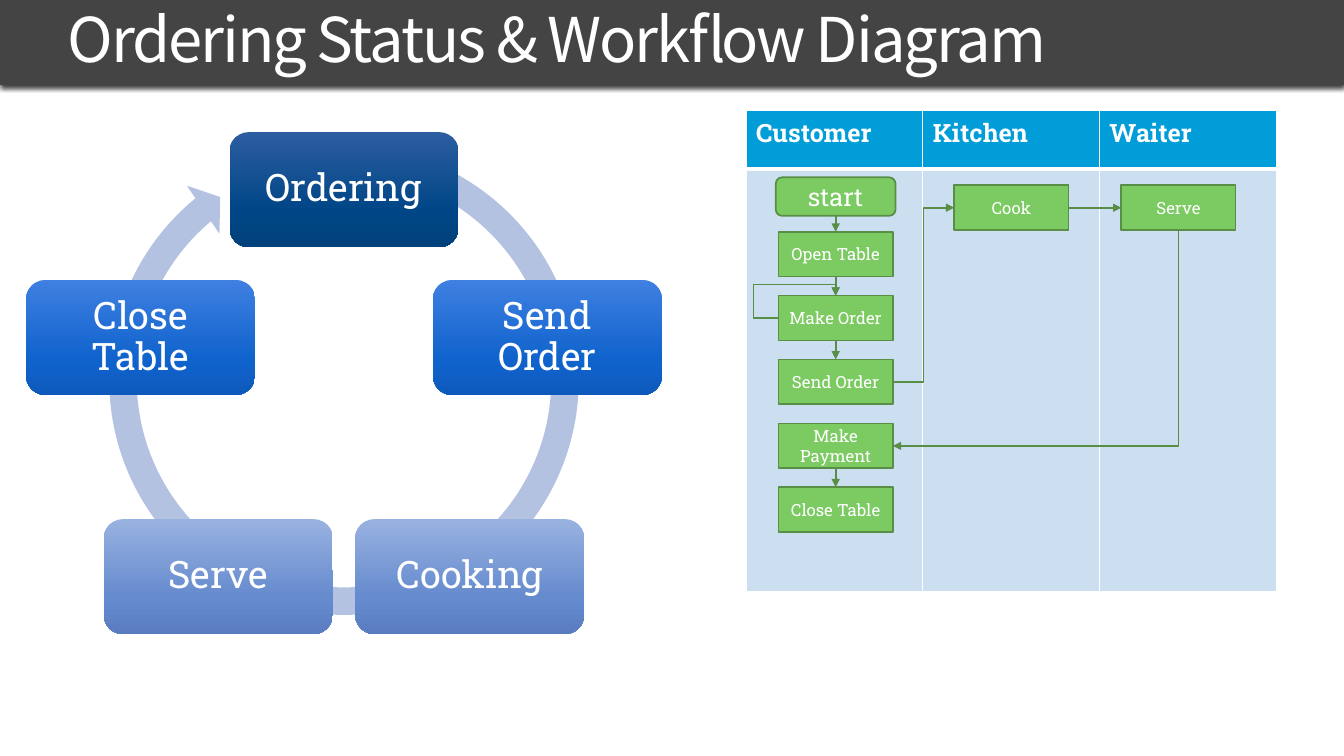
import math
import lxml.etree
import pptx
import pptx.dml.color
import pptx.enum.shapes
import pptx.enum.text
import pptx.oxml.ns
import pptx.util

Cm = pptx.util.Cm
Pt = pptx.util.Pt
qn = pptx.oxml.ns.qn
SHAPE = pptx.enum.shapes.MSO_SHAPE
LINK = pptx.enum.shapes.MSO_CONNECTOR
ALIGN = pptx.enum.text.PP_ALIGN
MIDDLE = pptx.enum.text.MSO_ANCHOR.MIDDLE
TOP_SIDE, LEFT_SIDE, BOTTOM_SIDE, RIGHT_SIDE = range(4)
BODY_FONT = "Roboto Slab"
TITLE_FONT = "Noto Sans CJK JP"
WHITE = "FFFFFF"
GREEN = "7CCA62"
DARK_GREEN = "588E46"


def colour(value):
    return pptx.dml.color.RGBColor.from_string(value)


def add_child(parent, tag, **attributes):
    child = lxml.etree.SubElement(parent, qn(tag))
    for name, value in attributes.items():
        child.set(name, str(value))
    return child


def add_text(para, text, size, font=BODY_FONT, bold=False):
    span = para.add_run()
    span.text = text
    span.font.name = font
    span.font.size = Pt(size)
    span.font.bold = bold
    span.font.color.rgb = colour(WHITE)
    return span


def add_box(page, kind, box, fill, line=None):
    shape = page.shapes.add_shape(kind, *[Cm(length) for length in box])
    shape.shadow.inherit = False
    shape.fill.solid()
    shape.fill.fore_color.rgb = colour(fill)
    if line:
        shape.line.color.rgb = colour(line)
        shape.line.width = Pt(1.25)
    else:
        shape.line.fill.background()
    return shape


def label(shape, text, size, inset, spacing=1.0):
    frame = shape.text_frame
    frame.word_wrap = True
    frame.vertical_anchor = MIDDLE
    frame.margin_left = frame.margin_right = Cm(inset)
    frame.margin_top = frame.margin_bottom = Cm(inset)
    para = frame.paragraphs[0]
    para.alignment = ALIGN.CENTER
    para.line_spacing = spacing
    add_text(para, text, size)


def set_gradient(shape, stops):
    shape.fill.gradient()
    shape.fill.gradient_angle = 270
    stop_list = shape._element.spPr.find(".//" + qn("a:gsLst"))
    for old_stop in list(stop_list):
        stop_list.remove(old_stop)
    for position, value in zip((0, 69000, 100000), stops):
        add_child(add_child(stop_list, "a:gs", pos=position), "a:srgbClr", val=value)


def build_header(page, box):
    left, top, width, height = box
    band = add_box(page, SHAPE.RECTANGLE, box, "444444")
    effects = band._element.spPr.find(qn("a:effectLst"))
    shadow = add_child(effects, "a:outerShdw", blurRad=Pt(3), dist=Pt(2), dir=5400000, rotWithShape=0)
    add_child(add_child(shadow, "a:srgbClr", val="000000"), "a:alpha", val=75000)
    page.shapes._spTree.insert(2, band._element)
    title = page.shapes.title
    title.left, title.top = Cm(left + 1.7), Cm(top + 0.4)
    title.width, title.height = Cm(width - 3.4), Cm(1.4)
    frame = title.text_frame
    frame.auto_size = pptx.enum.text.MSO_AUTO_SIZE.NONE
    frame.word_wrap = True
    frame.vertical_anchor = MIDDLE
    frame.margin_left = frame.margin_right = frame.margin_top = frame.margin_bottom = 0
    para = frame.paragraphs[0]
    para.alignment = ALIGN.LEFT
    para.line_spacing = 0.85
    span = add_text(para, "Ordering Status & Workflow Diagram", 44, TITLE_FONT)
    span.font._element.set("spc", "-150")


def build_cycle(page, box):
    left, top, width, height = box
    ring = add_box(page, SHAPE.CIRCULAR_ARROW, (left + 1.7, top - 0.05, 12.6, 12.6), "B4C2E2")
    for index, value in enumerate((0.055, 3.307, 138.257, 173.557, 0.058)):
        ring.adjustments[index] = value
    dark = ("2C5DA1", "004686", "00417B")
    medium = ("3F80E1", "1063CD", "0E5ABC")
    pale = ("99B2E1", "658ACD", "597DC0")
    stages = [("Ordering", dark), ("Send Order", medium), ("Cooking", pale),
              ("Serve", pale), ("Close Table", medium)]
    stage_width, stage_height, radius = 5.77, 2.9, 5.39
    for index, (text, stops) in enumerate(stages):
        angle = 2 * math.pi * index / len(stages)
        stage_left = left + (width - stage_width) / 2 + radius * math.sin(angle)
        stage_top = top + radius * (1 - math.cos(angle))
        stage = add_box(page, SHAPE.ROUNDED_RECTANGLE,
                        (stage_left, stage_top, stage_width, stage_height), WHITE)
        set_gradient(stage, stops)
        label(stage, text, 27, 0.28, 0.9)


def build_lanes(page, box):
    left, top, width, height = [Cm(length) for length in box]
    lanes = ("Customer", "Kitchen", "Waiter")
    table = page.shapes.add_table(2, len(lanes), left, top, width, height).table
    table.horz_banding = False
    table.rows[0].height = Cm(1.46)
    table.rows[1].height = height - Cm(1.46)
    for column, lane in enumerate(lanes):
        add_text(table.cell(0, column).text_frame.paragraphs[0], lane, 18, bold=True)
        for row, fill in enumerate(("009DD9", "CCDFF1")):
            cell = table.cell(row, column)
            properties = cell._tc.get_or_add_tcPr()
            top_width, bottom_width = ((1, 3), (3, 1))[row]
            borders = {"a:lnL": 1, "a:lnR": 1, "a:lnT": top_width, "a:lnB": bottom_width}
            for tag, thickness in borders.items():
                border = add_child(properties, tag, w=Pt(thickness))
                add_child(add_child(border, "a:solidFill"), "a:srgbClr", val=WHITE)
            cell.fill.solid()
            cell.fill.fore_color.rgb = colour(fill)


def link(page, source, source_side, target, target_side, preset="line", bends=(), quarter_turn=False):
    kind = LINK.STRAIGHT if preset == "line" else LINK.ELBOW
    arrow = page.shapes.add_connector(kind, 0, 0, 0, 0)
    arrow.begin_connect(source, source_side)
    arrow.end_connect(target, target_side)
    arrow.line.color.rgb = colour(DARK_GREEN)
    arrow.line.width = Pt(1.25)
    add_child(arrow.line._get_or_add_ln(), "a:tailEnd", type="triangle")
    properties = arrow._element.spPr
    add_child(properties, "a:effectLst")
    geometry = properties.find(qn("a:prstGeom"))
    geometry.set("prst", preset)
    guides = geometry.find(qn("a:avLst"))
    for number, bend in enumerate(bends, 1):
        add_child(guides, "a:gd", name=f"adj{number}", fmla=f"val {round(bend * 100000)}")
    if quarter_turn:
        shift = (arrow.width - arrow.height) // 2
        arrow.left, arrow.top = arrow.left + shift, arrow.top - shift
        arrow.width, arrow.height = arrow.height, arrow.width
        transform = properties.find(qn("a:xfrm"))
        transform.attrib.pop("flipH", None)
        transform.set("rot", "5400000")


def build_workflow(page, box):
    left, top, width, height = box
    build_lanes(page, box)
    start = add_box(page, SHAPE.ROUNDED_RECTANGLE, (left + 0.75, top + 1.68, 3.02, 0.97), GREEN, DARK_GREEN)
    label(start, "start", 18, 0.13)
    places = {"Cook": (5.25, 1.88), "Serve": (9.46, 1.88)}
    customer_steps = ("Open Table", "Make Order", "Send Order", "Make Payment", "Close Table")
    for index, text in enumerate(customer_steps):
        places[text] = (0.82, 3.05 + 1.61 * index)
    steps = {}
    for text, (across, down) in places.items():
        steps[text] = add_box(page, SHAPE.RECTANGLE, (left + across, top + down, 2.88, 1.13), GREEN, DARK_GREEN)
        label(steps[text], text, 12, 0)
    opened, ordered, sent, paid, closed = [steps[text] for text in customer_steps]
    for upper, lower in ((start, opened), (opened, ordered), (ordered, sent), (paid, closed)):
        link(page, upper, BOTTOM_SIDE, lower, TOP_SIDE)
    link(page, sent, RIGHT_SIDE, steps["Cook"], LEFT_SIDE, "bentConnector3", (0.5,))
    link(page, steps["Cook"], RIGHT_SIDE, steps["Serve"], LEFT_SIDE)
    link(page, steps["Serve"], BOTTOM_SIDE, paid, RIGHT_SIDE, "bentConnector2", quarter_turn=True)
    link(page, ordered, LEFT_SIDE, ordered, TOP_SIDE, "bentConnector4", (-0.44, 1.5))


def main():
    deck = pptx.Presentation()
    deck.slide_width, deck.slide_height = Cm(33.87), Cm(19.05)
    page = deck.slides.add_slide(deck.slide_layouts[5])
    build_header(page, (0, 0, 33.87, 2.15))
    build_cycle(page, (0.67, 3.33, 16, 12.65))
    build_workflow(page, (18.8, 2.79, 13.36, 12.12))
    deck.save("out.pptx")


if __name__ == "__main__":
    main()
